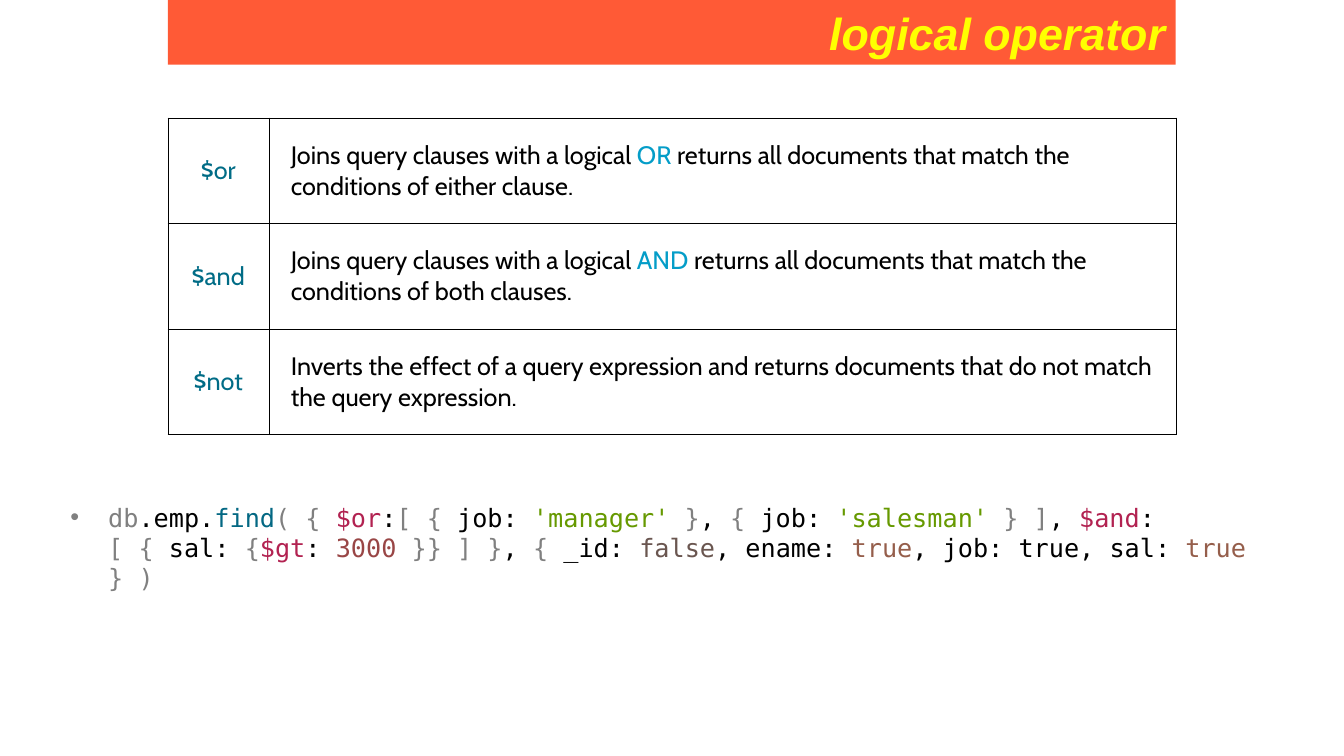
from dataclasses import dataclass
from typing import Any

from lxml.etree import SubElement
from pptx import Presentation
from pptx.dml.color import RGBColor
from pptx.enum.text import MSO_ANCHOR, MSO_AUTO_SIZE, PP_ALIGN
from pptx.oxml.ns import qn
from pptx.util import Cm, Pt

COLOURS: dict[str, str] = {
    "banner": "FF5A36",
    "yellow": "FFFF00",
    "black": "000000",
    "teal": "006C86",
    "cyan": "049DC8",
    "punctuation": "808080",
    "function": "036883",
    "operator": "B22251",
    "string": "669900",
    "number": "994646",
    "false": "6A5650",
    "true": "955E4B",
}

TITLE_FONT = {"name": "Arial", "size": Pt(32), "bold": True, "italic": True}
TABLE_FONT = {"name": "Cabin", "size": Pt(18)}
CODE_FONT = {"name": "DejaVu Sans Mono", "size": Pt(18)}

TITLE_BOX = {"left": Cm(4.23), "top": Cm(0), "width": Cm(25.4), "height": Cm(1.63)}
CODE_BOX = {"left": Cm(1.52), "top": Cm(12.52), "width": Cm(30.4), "height": Cm(1.8)}
TABLE_LEFT, TABLE_TOP = Cm(4.23), Cm(2.97)
COLUMN_WIDTHS = (Cm(2.54), Cm(22.86))
ROW_HEIGHT = Cm(2.66)

CELL_FORMAT = {
    "margin_left": Cm(0.08),
    "margin_right": Cm(0.08),
    "margin_top": Cm(0.05),
    "margin_bottom": Cm(0.05),
    "vertical_anchor": MSO_ANCHOR.MIDDLE,
}


@dataclass(frozen=True)
class Piece:
    text: str
    colour: str = "black"


@dataclass(frozen=True)
class Operator:
    name: str
    description: tuple[Piece, ...]


def joining(word: str, ending: str) -> tuple[Piece, ...]:
    return (
        Piece("Joins query clauses with a logical "),
        Piece(f"{word} ", "cyan"),
        Piece(f"returns all documents that match the conditions of {ending}."),
    )


OPERATORS = (
    Operator("$or", joining("OR", "either clause")),
    Operator("$and", joining("AND", "both clauses")),
    Operator("$not", (Piece(
        "Inverts the effect of a query expression and returns documents "
        "that do not match the query expression."
    ),)),
)

QUERY = (
    Piece("db", "punctuation"),
    Piece(".emp."),
    Piece("find", "function"),
    Piece("( { ", "punctuation"),
    Piece("$or", "operator"),
    Piece(":"),
    Piece("[ { ", "punctuation"),
    Piece("job: "),
    Piece("'manager' ", "string"),
    Piece("}", "punctuation"),
    Piece(", "),
    Piece("{", "punctuation"),
    Piece(" job: "),
    Piece("'salesman' ", "string"),
    Piece("} ]", "punctuation"),
    Piece(", "),
    Piece("$and", "operator"),
    Piece(": "),
    Piece("[ {", "punctuation"),
    Piece(" sal: "),
    Piece("{", "punctuation"),
    Piece("$gt", "operator"),
    Piece(": "),
    Piece("3000 ", "number"),
    Piece("}} ] }", "punctuation"),
    Piece(", "),
    Piece("{ ", "punctuation"),
    Piece("_id: "),
    Piece("false", "false"),
    Piece(", ename: "),
    Piece("true", "true"),
    Piece(", job: true, sal: "),
    Piece("true ", "true"),
    Piece("} )", "punctuation"),
)


def colour(name: str) -> RGBColor:
    return RGBColor.from_string(COLOURS[name])


def apply_format(target: Any, values: dict[str, Any]) -> None:
    for attribute, value in values.items():
        setattr(target, attribute, value)


def write_pieces(paragraph: Any, pieces: tuple[Piece, ...], font: dict[str, Any]) -> None:
    for piece in pieces:
        run = paragraph.add_run()
        run.text = piece.text
        apply_format(run.font, font)
        run.font.color.rgb = colour(piece.colour)


def fill_placeholder(
    shape: Any, box: dict[str, Any], frame_format: dict[str, Any],
    paragraph_format: dict[str, Any], pieces: tuple[Piece, ...], font: dict[str, Any],
) -> None:
    apply_format(shape, box)
    common = {"word_wrap": True, "auto_size": MSO_AUTO_SIZE.NONE}
    apply_format(shape.text_frame, common | frame_format)
    paragraph = shape.text_frame.paragraphs[0]
    apply_format(paragraph, paragraph_format)
    write_pieces(paragraph, pieces, font)


def add_borders(cell: Any) -> None:
    properties = cell._tc.get_or_add_tcPr()
    for side in ("lnL", "lnR", "lnT", "lnB"):
        line = SubElement(properties, qn(f"a:{side}"), w=str(Pt(0.25)))
        fill = SubElement(line, qn("a:solidFill"))
        SubElement(fill, qn("a:srgbClr"), val=COLOURS["black"])


def format_cell(cell: Any, pieces: tuple[Piece, ...]) -> Any:
    apply_format(cell, CELL_FORMAT)
    add_borders(cell)
    cell.fill.background()
    paragraph = cell.text_frame.paragraphs[0]
    write_pieces(paragraph, pieces, TABLE_FONT)
    return paragraph


def add_operator_table(slide: Any) -> None:
    table = slide.shapes.add_table(
        len(OPERATORS), len(COLUMN_WIDTHS), TABLE_LEFT, TABLE_TOP,
        sum(COLUMN_WIDTHS), ROW_HEIGHT * len(OPERATORS),
    ).table
    apply_format(table, {"first_row": False, "horz_banding": False})
    for column, width in zip(table.columns, COLUMN_WIDTHS):
        column.width = width
    for row, operator in zip(table.rows, OPERATORS):
        row.height = ROW_HEIGHT
        name_cell, description_cell = row.cells
        name = format_cell(name_cell, (Piece(operator.name, "teal"),))
        name.alignment = PP_ALIGN.CENTER
        description = format_cell(description_cell, operator.description)
        description._p.get_or_add_pPr().set("marL", str(Cm(0.48)))


def main() -> None:
    presentation = Presentation()
    apply_format(presentation, {"slide_width": Cm(33.87), "slide_height": Cm(19.05)})
    slide = presentation.slides.add_slide(presentation.slide_layouts[1])
    title, body = slide.placeholders
    title.fill.solid()
    title.fill.fore_color.rgb = colour("banner")
    fill_placeholder(
        title, TITLE_BOX, {"vertical_anchor": MSO_ANCHOR.MIDDLE},
        {"alignment": PP_ALIGN.RIGHT}, (Piece("logical operator", "yellow"),), TITLE_FONT,
    )
    add_operator_table(slide)
    fill_placeholder(
        body, CODE_BOX, {"vertical_anchor": MSO_ANCHOR.TOP},
        {"space_before": Pt(0)}, QUERY, CODE_FONT,
    )
    presentation.save("out.pptx")


if __name__ == "__main__":
    main()
